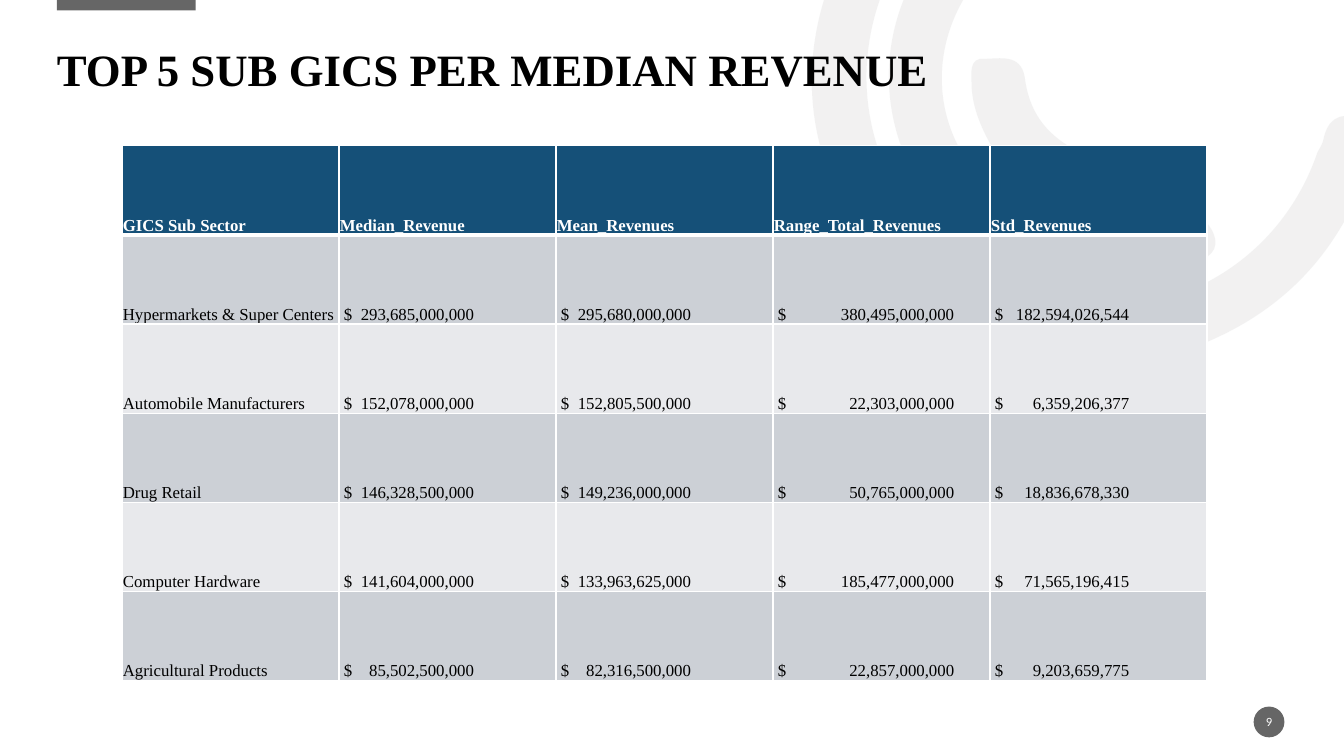
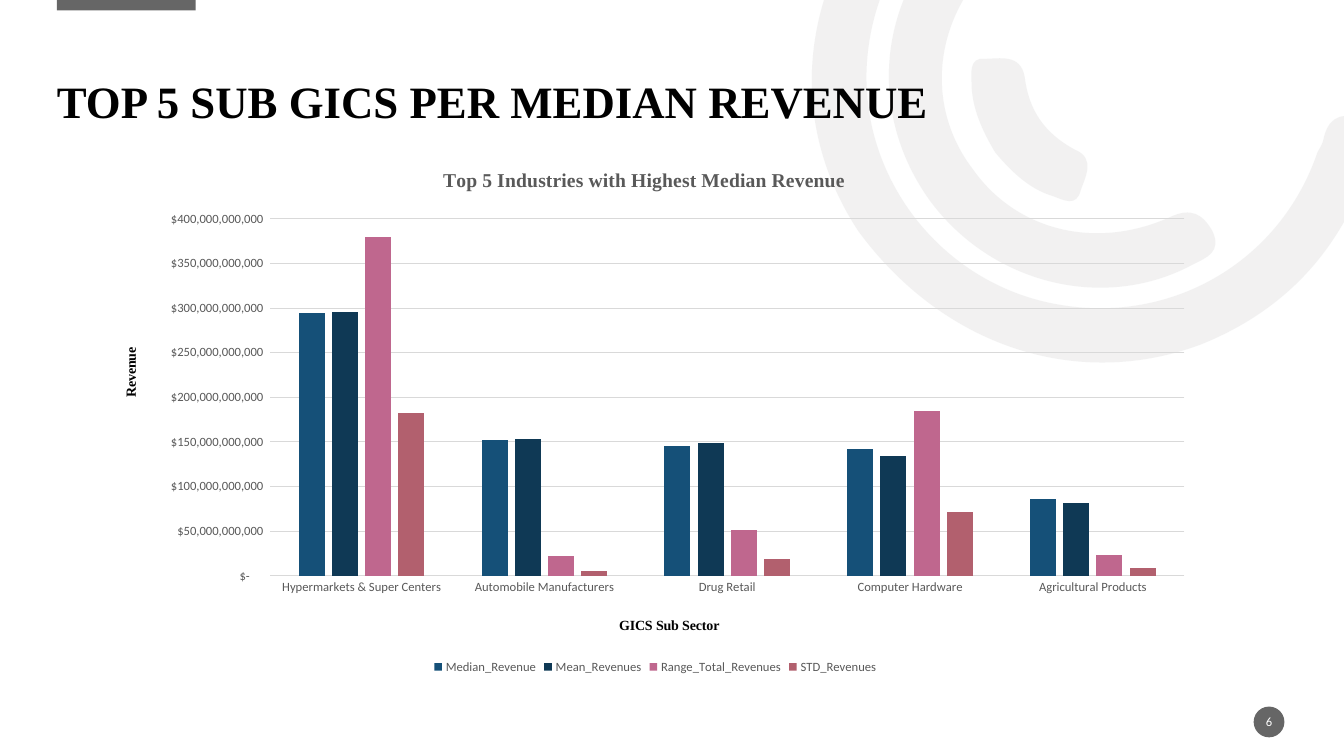
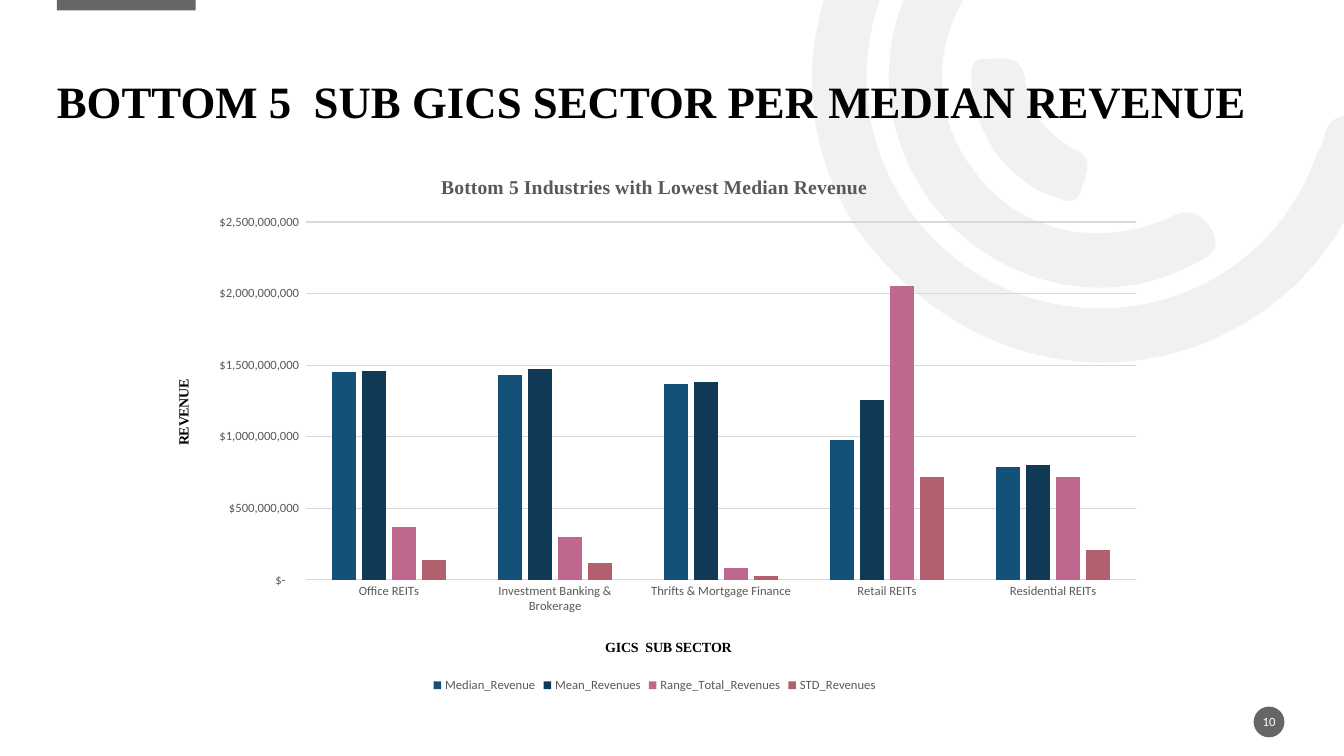
from lxml import etree
from pptx import Presentation
from pptx.chart.data import CategoryChartData
from pptx.dml.color import RGBColor
from pptx.enum.chart import XL_CHART_TYPE, XL_LEGEND_POSITION, XL_TICK_MARK
from pptx.enum.shapes import MSO_SHAPE
from pptx.enum.text import MSO_ANCHOR, PP_ALIGN
from pptx.oxml import parse_xml
from pptx.oxml.ns import nsdecls, qn
from pptx.util import Pt

COLUMNS = XL_CHART_TYPE.COLUMN_CLUSTERED
LEGEND_BOTTOM = XL_LEGEND_POSITION.BOTTOM
NO_TICK = XL_TICK_MARK.NONE
RECTANGLE, ELLIPSE = MSO_SHAPE.RECTANGLE, MSO_SHAPE.OVAL
MIDDLE, BOTTOM = MSO_ANCHOR.MIDDLE, MSO_ANCHOR.BOTTOM
LEFT, CENTER = PP_ALIGN.LEFT, PP_ALIGN.CENTER

SERIF, SANS = "Times New Roman", "Calibri"
COLORS = {
    "text": "000000", "white": "FFFFFF", "gray": "666666", "swirl": "E7E6E6",
    "label": "595959", "grid": "D9D9D9", "header": "155078",
    "odd_row": "CCD0D6", "even_row": "E8E9EC",
    "median": "155078", "mean": "0F3955", "range": "BF678E", "std": "B2606E",
}
SERIES = [("Median_Revenue", "median"), ("Mean_Revenues", "mean"),
          ("Range_Total_Revenues", "range"), ("STD_Revenues", "std")]
DOLLARS = '_("$"* #,##0_);_("$"* \\(#,##0\\);_("$"* "-"??_);_(@_)'
SWIRL_OPACITY = 53

SWIRL = [
    [(613, 165),
     (575, 107), (567, 36), (603, -36), (641, -109), (703, -146), (785, -149),
     (796, -149), (807, -151), (814, -140), (824, -126), (811, -111), (791, -111),
     (696, -111), (623, -42), (619, 49), (616, 130), (674, 202), (753, 217),
     (835, 233), (914, 188), (941, 109), (942, 107), (944, 104), (945, 101),
     (948, 86), (955, 80), (971, 84), (989, 89), (984, 102), (980, 112),
     (960, 176), (920, 221), (858, 246), (770, 279), (674, 248), (613, 165)],
    [(664, 143),
     (621, 83), (626, 5), (677, -49), (685, -57), (693, -68), (706, -56),
     (716, -46), (718, -36), (705, -23), (666, 19), (662, 78), (695, 121),
     (726, 165), (783, 179), (836, 155), (851, 148), (859, 153), (866, 165),
     (873, 180), (862, 184), (852, 189), (789, 223), (708, 203), (664, 143)],
    [(711, 109),
     (702, 94), (694, 77), (694, 59), (694, 53), (692, 41), (703, 42),
     (714, 42), (729, 38), (732, 55), (735, 79), (746, 95), (768, 107),
     (783, 113), (775, 127), (772, 136), (769, 148), (760, 143), (752, 140),
     (735, 135), (722, 122), (711, 109)],
]

HEADINGS = ["GICS Sub Sector", "Median_Revenue", "Mean_Revenues",
            "Range_Total_Revenues", "Std_Revenues"]
AMOUNT_TABS = [93, 93, 126, 96]
TOP_ROWS = [
    ("Hypermarkets & Super Centers", 293685000000, 295680000000, 380495000000, 182594026544),
    ("Automobile Manufacturers", 152078000000, 152805500000, 22303000000, 6359206377),
    ("Drug Retail", 146328500000, 149236000000, 50765000000, 18836678330),
    ("Computer Hardware", 141604000000, 133963625000, 185477000000, 71565196415),
    ("Agricultural Products", 85502500000, 82316500000, 22857000000, 9203659775),
]
TOP_CHART = {
    "frame": (74.2, 108.7, 787.7, 375.8),
    "title": ("Top 5 Industries with Highest Median Revenue", 314, 117),
    "category_title": ("GICS Sub Sector", 440.5, 438),
    "value_title": ("Revenue", 85, 246.5),
    "plot": (193, 156.4, 653, 255),
    "unit": 10**9, "maximum": 400, "step": 50,
    "categories": [row[0] for row in TOP_ROWS],
    "values": [(294, 152, 146, 142, 86), (296, 153, 149, 134, 82),
               (380, 22, 51, 185, 23), (183, 6, 19, 72, 9)],
}
BOTTOM_CHART = {
    "frame": (109.4, 110.2, 716.4, 387.4),
    "title": ("Bottom 5 Industries with Lowest Median Revenue", 312.5, 122),
    "category_title": ("GICS  SUB SECTOR", 430.5, 454.3),
    "value_title": ("REVENUE", 122.7, 269),
    "plot": (218.6, 158.6, 593, 255.7),
    "unit": 10**7, "maximum": 250, "step": 50,
    "categories": ["Office REITs", "Investment Banking & Brokerage",
                   "Thrifts & Mortgage Finance", "Retail REITs", "Residential REITs"],
    "values": [(145, 143, 137, 98, 79), (146, 147, 138, 126, 80),
               (37, 30, 8, 205, 72), (14, 12, 3, 72, 21)],
}


def rgb(color):
    return RGBColor.from_string(COLORS[color])


def style_font(font, size, color, face, bold=False):
    font.size, font.name, font.bold = Pt(size), face, bold
    font.color.rgb = rgb(color)


def add_run(paragraph, text, size, color, face=SERIF, bold=False):
    run = paragraph.add_run()
    run.text = text
    style_font(run.font, size, color, face, bold)


def add_text_line(slide, box, anchor):
    frame = slide.shapes.add_textbox(*map(Pt, box)).text_frame
    frame.word_wrap = True
    frame.margin_left = frame.margin_right = 0
    frame.margin_top = frame.margin_bottom = 0
    frame.vertical_anchor = anchor
    return frame.paragraphs[0]


def paint(shape, color):
    shape.shadow.inherit = False
    shape.fill.solid()
    shape.fill.fore_color.rgb = rgb(color)
    shape.line.fill.background()


def add_block(slide, kind, box, color):
    paint(slide.shapes.add_shape(kind, *map(Pt, box)), color)


def bend_lines(shape):
    outline = next(shape._element.iter(qn("a:path")))
    lines = outline.findall(qn("a:lnTo"))
    for i in range(0, len(lines), 3):
        curve = etree.Element(qn("a:cubicBezTo"))
        lines[i].addprevious(curve)
        for line in lines[i:i + 3]:
            curve.append(line[0])
            outline.remove(line)


def add_swirl(slide):
    for start, *points in SWIRL:
        builder = slide.shapes.build_freeform(*map(Pt, start))
        builder.add_line_segments([tuple(map(Pt, point)) for point in points], close=True)
        arc = builder.convert_to_shape()
        bend_lines(arc)
        paint(arc, "swirl")
        tint = arc.fill._xPr.find(qn("a:solidFill"))[0]
        etree.SubElement(tint, qn("a:alpha"), val=str(SWIRL_OPACITY * 1000))


def add_base(prs, title, number, title_height=72.7):
    slide = prs.slides.add_slide(prs.slide_layouts[6])
    add_block(slide, RECTANGLE, (40.6, -1.2, 99.2, 8.6), "gray")
    add_block(slide, ELLIPSE, (895.5, 504.7, 22, 22), "gray")
    add_swirl(slide)
    heading = add_text_line(slide, (40.6, 19, 877.7, title_height), BOTTOM)
    heading.line_spacing = 0.9
    add_run(heading, title, 32, "text", bold=True)
    page = add_text_line(slide, (895, 508.5, 23, 14.4), MIDDLE)
    page.alignment = CENTER
    add_run(page, str(number), 9, "white", SANS)
    return slide


def set_borders(cell, top, bottom):
    properties = cell._tc.get_or_add_tcPr()
    widths = (("lnL", 1), ("lnR", 1), ("lnT", top), ("lnB", bottom))
    for position, (side, width) in enumerate(widths):
        properties.insert(position, parse_xml(
            f'<a:{side} {nsdecls("a")} w="{Pt(width)}"><a:solidFill>'
            f'<a:srgbClr val="{COLORS["white"]}"/></a:solidFill></a:{side}>'))


def add_right_tab(paragraph, position):
    paragraph._p.get_or_add_pPr().append(parse_xml(
        f'<a:tabLst {nsdecls("a")}><a:tab pos="{Pt(position)}" algn="r"/></a:tabLst>'))


def fill_cell(cell, text, row, tab=None):
    is_header = row == 0
    set_borders(cell, 3 if row == 1 else 1, 3 if is_header else 1)
    cell.fill.solid()
    cell.fill.fore_color.rgb = rgb(
        "header" if is_header else "odd_row" if row % 2 else "even_row")
    cell.margin_left = Pt(3.6 if tab else 0.7)
    cell.margin_right = cell.margin_top = Pt(0.7)
    cell.margin_bottom = 0
    cell.vertical_anchor = BOTTOM
    paragraph = cell.text_frame.paragraphs[0]
    paragraph.alignment = LEFT
    if tab:
        add_right_tab(paragraph, tab)
    add_run(paragraph, text, 12, "white" if is_header else "text", bold=is_header)


def add_revenue_table(slide):
    row_count, column_count = len(TOP_ROWS) + 1, len(HEADINGS)
    table = slide.shapes.add_table(
        row_count, column_count, Pt(87.1), Pt(104), Pt(155 * column_count),
        Pt(63.7 * row_count)).table
    for column, heading in enumerate(HEADINGS):
        fill_cell(table.cell(0, column), heading, 0)
    for row, (sector, *amounts) in enumerate(TOP_ROWS, 1):
        fill_cell(table.cell(row, 0), sector, row)
        for column, (amount, tab) in enumerate(zip(amounts, AMOUNT_TABS), 1):
            fill_cell(table.cell(row, column), f"$\t{amount:,}", row, tab)


def set_layout(element, frame, x, y, *size):
    left, top, width, height = frame
    for old in element.findall(qn("c:layout")):
        element.remove(old)
    target = '<c:layoutTarget val="inner"/>' if size else ""
    shares = [("x", (x - left) / width), ("y", (y - top) / height)]
    shares += [(side, length / whole)
               for side, length, whole in zip("wh", size, (width, height))]
    values = "".join(f'<c:{side} val="{share:.4f}"/>' for side, share in shares)
    layout = parse_xml(
        f'<c:layout {nsdecls("c")}><c:manualLayout>{target}<c:xMode val="edge"/>'
        f'<c:yMode val="edge"/>{values}</c:manualLayout></c:layout>')
    text = element.find(qn("c:tx"))
    element.insert(0 if text is None else element.index(text) + 1, layout)


def write_title(title, frame, label, size, color):
    text, x, y = label
    add_run(title.text_frame.paragraphs[0], text, size, color, bold=True)
    set_layout(title._element, frame, x, y)


def add_revenue_chart(slide, content):
    data = CategoryChartData(number_format=DOLLARS)
    data.categories = content["categories"]
    for (name, _), values in zip(SERIES, content["values"]):
        data.add_series(name, [value * content["unit"] for value in values])
    frame = content["frame"]
    chart = slide.shapes.add_chart(COLUMNS, *map(Pt, frame), data).chart
    style_font(chart.font, 10, "text", SANS)

    chart.has_title = True
    write_title(chart.chart_title, frame, content["title"], 14, "label")
    chart.has_legend = True
    chart.legend.position = LEGEND_BOTTOM
    chart.legend.include_in_layout = False
    style_font(chart.legend.font, 9, "label", SANS)

    plot = chart.plots[0]
    plot.gap_width, plot.overlap = 219, -27
    plot.vary_by_categories = False
    for series, (_, color) in zip(plot.series, SERIES):
        series.format.fill.solid()
        series.format.fill.fore_color.rgb = rgb(color)
        series.invert_if_negative = False

    categories, revenue = chart.category_axis, chart.value_axis
    for axis, label in ((categories, "category_title"), (revenue, "value_title")):
        axis.major_tick_mark = axis.minor_tick_mark = NO_TICK
        style_font(axis.tick_labels.font, 9, "label", SANS)
        write_title(axis.axis_title, frame, content[label], 10, "text")
    revenue.minimum_scale = 0
    revenue.maximum_scale = content["maximum"] * content["unit"]
    revenue.major_unit = content["step"] * content["unit"]
    revenue.tick_labels.number_format = DOLLARS
    revenue.tick_labels.number_format_is_linked = False
    revenue.format.line.fill.background()
    for line in (categories.format.line, revenue.major_gridlines.format.line):
        line.color.rgb = rgb("grid")
        line.width = Pt(0.75)
    set_layout(chart._chartSpace.chart.plotArea, frame, *content["plot"])


def main():
    prs = Presentation()
    prs.slide_width, prs.slide_height = Pt(960), Pt(540)
    top_title = "TOP 5 SUB GICS PER MEDIAN REVENUE"
    add_revenue_table(add_base(prs, top_title, 9, title_height=49.7))
    add_revenue_chart(add_base(prs, top_title, 6), TOP_CHART)
    bottom_title = "BOTTOM 5  SUB GICS SECTOR PER MEDIAN REVENUE"
    add_revenue_chart(add_base(prs, bottom_title, 10), BOTTOM_CHART)
    prs.save("out.pptx")


if __name__ == "__main__":
    main()
